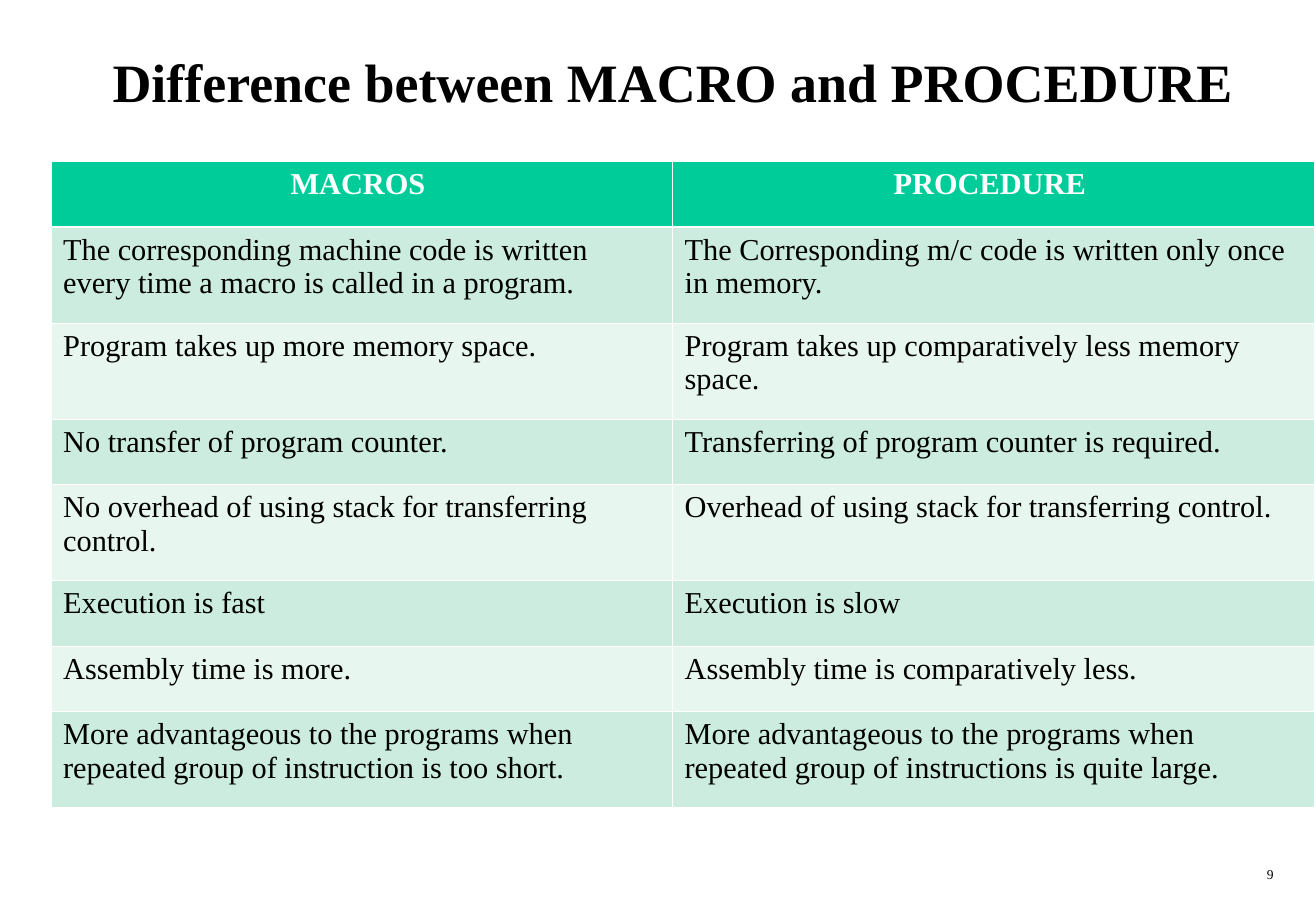
from lxml import etree
from pptx import Presentation
from pptx import util as u
from pptx.dml.color import RGBColor
from pptx.enum import text
from pptx.oxml import ns

FONT = "Times New Roman"
BLACK = RGBColor(0x00, 0x00, 0x00)
WHITE = RGBColor(0xFF, 0xFF, 0xFF)
GREEN = RGBColor(0x00, 0xCC, 0x99)
MINT = RGBColor(0xCB, 0xEC, 0xDE)
PALE_MINT = RGBColor(0xE7, 0xF6, 0xEF)

THIN, THICK = 0.45, 1.47
COLUMN_WIDTHS = (5.12, 5.29)
SHORT_ROW, TALL_ROW = 0.54, 0.79

HEADER = ("MACROS ", "PROCEDURE ")
DIFFERENCES = (
    (TALL_ROW, "The corresponding machine code is written every time a macro is called in a program.",
     "The Corresponding m/c code is written only once in memory."),
    (TALL_ROW, "Program takes up more memory space.",
     "Program takes up comparatively less memory space."),
    (SHORT_ROW, "No transfer of program counter.",
     "Transferring of program counter is required."),
    (TALL_ROW, "No overhead of using stack for transferring control.",
     "Overhead of using stack for transferring control."),
    (SHORT_ROW, "Execution is fast", "Execution is slow"),
    (SHORT_ROW, "Assembly time is more.", "Assembly time is comparatively less."),
    (TALL_ROW, "More advantageous to the programs when repeated group of instruction is too short.",
     "More advantageous to the programs when repeated group of instructions is quite large."),
)


def write(frame, words, size, color=BLACK, bold=False, align=text.PP_ALIGN.LEFT):
    frame.word_wrap = True
    para = frame.paragraphs[0]
    para.alignment = align
    span = para.add_run()
    span.text = words
    span.font.name = FONT
    span.font.size = u.Pt(size)
    span.font.bold = bold
    span.font.color.rgb = color


def add_text(page, left, top, width, height, words, size,
             anchor=text.MSO_ANCHOR.TOP, **style):
    box = page.shapes.add_textbox(*map(u.Inches, (left, top, width, height)))
    box.text_frame.vertical_anchor = anchor
    write(box.text_frame, words, size, **style)


def set_borders(cell, top, bottom):
    """Draw white cell borders; top and bottom are widths in points."""
    properties = cell._tc.get_or_add_tcPr()
    sides = (("lnL", THIN), ("lnR", THIN), ("lnT", top), ("lnB", bottom))
    for index, (side, width) in enumerate(sides):
        line = etree.Element(ns.qn(f"a:{side}"), w=str(u.Pt(width)))
        fill = etree.SubElement(line, ns.qn("a:solidFill"))
        etree.SubElement(fill, ns.qn("a:srgbClr"), val=str(WHITE))
        properties.insert(index, line)


def fill_row(table, number, height, words, fill, **style):
    table.rows[number].height = u.Inches(height)
    for cell, entry in zip(table.rows[number].cells, words):
        cell.fill.solid()
        cell.fill.fore_color.rgb = fill
        set_borders(cell, top=THICK if number == 1 else THIN,
                    bottom=THICK if number == 0 else THIN)
        write(cell.text_frame, entry, 18, **style)


def add_comparison(page):
    table = page.shapes.add_table(
        len(DIFFERENCES) + 1, len(HEADER), u.Inches(0.42), u.Inches(1.33),
        u.Inches(sum(COLUMN_WIDTHS)), u.Inches(5.33)).table
    for column, width in zip(table.columns, COLUMN_WIDTHS):
        column.width = u.Inches(width)
    fill_row(table, 0, SHORT_ROW, HEADER, GREEN, color=WHITE, bold=True,
             align=text.PP_ALIGN.CENTER)
    for number, (height, *words) in enumerate(DIFFERENCES, start=1):
        fill_row(table, number, height, words, MINT if number % 2 else PALE_MINT)


def main():
    deck = Presentation()
    deck.slide_width, deck.slide_height = u.Inches(10.84), u.Inches(7.5)
    page = deck.slides.add_slide(deck.slide_layouts[6])
    add_text(page, 0.42, 0.17, 10.25, 1, "Difference between MACRO and PROCEDURE", 32,
             anchor=text.MSO_ANCHOR.MIDDLE, bold=True, align=text.PP_ALIGN.CENTER)
    add_comparison(page)
    add_text(page, 8.33, 7.08, 2.26, 0.25, "9", 8, align=text.PP_ALIGN.RIGHT)
    deck.save("out.pptx")


if __name__ == "__main__":
    main()
